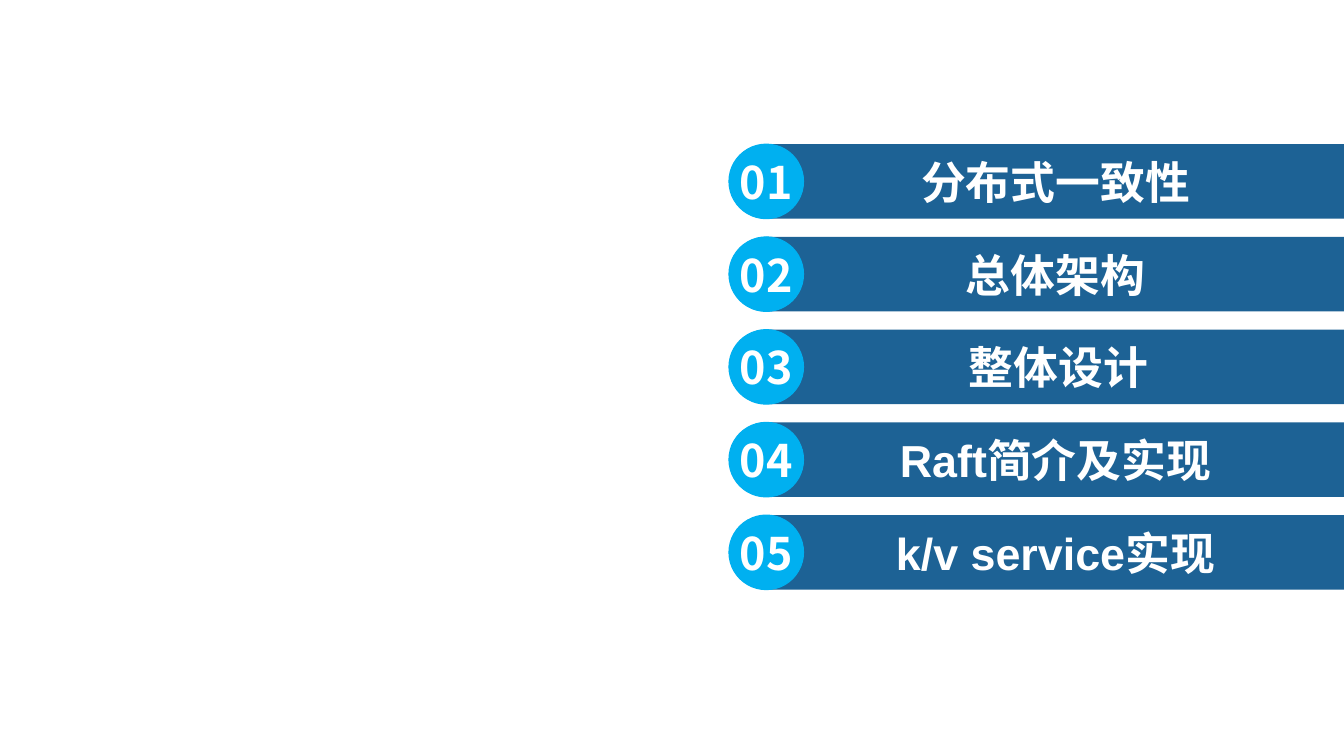
from lxml.etree import SubElement
from pptx import Presentation
from pptx.dml.color import RGBColor
from pptx.enum.shapes import MSO_SHAPE
from pptx.enum.text import MSO_ANCHOR, PP_ALIGN
from pptx.oxml.ns import qn
from pptx.util import Pt

PX = 9144
CJK = "Noto Sans CJK SC"


def paint(color, value):
    color.rgb = RGBColor.from_string(value)


def block(kind, left, top, width, height, fill, text, font):
    shape = slide.shapes.add_shape(kind, left * PX, top * PX, width * PX, height * PX)
    shape.shadow.inherit = False
    shape.fill.solid()
    paint(shape.fill.fore_color, fill)
    frame = shape.text_frame
    frame.text = text
    frame.word_wrap = False
    frame.vertical_anchor = MSO_ANCHOR.MIDDLE
    line = frame.paragraphs[0]
    line.alignment = PP_ALIGN.CENTER
    run = line.runs[0]
    run.font.size = Pt(32)
    run.font.bold = True
    run.font.name = font
    paint(run.font.color, "FFFFFF")
    SubElement(run._r.get_or_add_rPr(), qn("a:ea"), typeface=CJK)
    return shape


deck = Presentation()
deck.slide_width = 1333 * PX
deck.slide_height = 750 * PX
slide = deck.slides.add_slide(deck.slide_layouts[6])

topics = [
    ("分布式一致性", 760),
    ("总体架构", 760),
    ("整体设计", 763),
    ("Raft简介及实现", 760),
    ("k/v service实现", 760),
]

for row, (topic, left) in enumerate(topics):
    top = 143 + 92 * row
    bar = block(MSO_SHAPE.RECTANGLE, left, top, 574, 74, "1D6295", topic, "Arial")
    bar.line.fill.background()
    disc = block(MSO_SHAPE.OVAL, 723, top, 74, 74, "00B0F0", f"{row + 1:02}", CJK)
    paint(disc.line.color, "00B0F0")
    disc.line.width = Pt(0.75)
    disc.text_frame.margin_left = disc.text_frame.margin_right = 0

deck.save("out.pptx")
